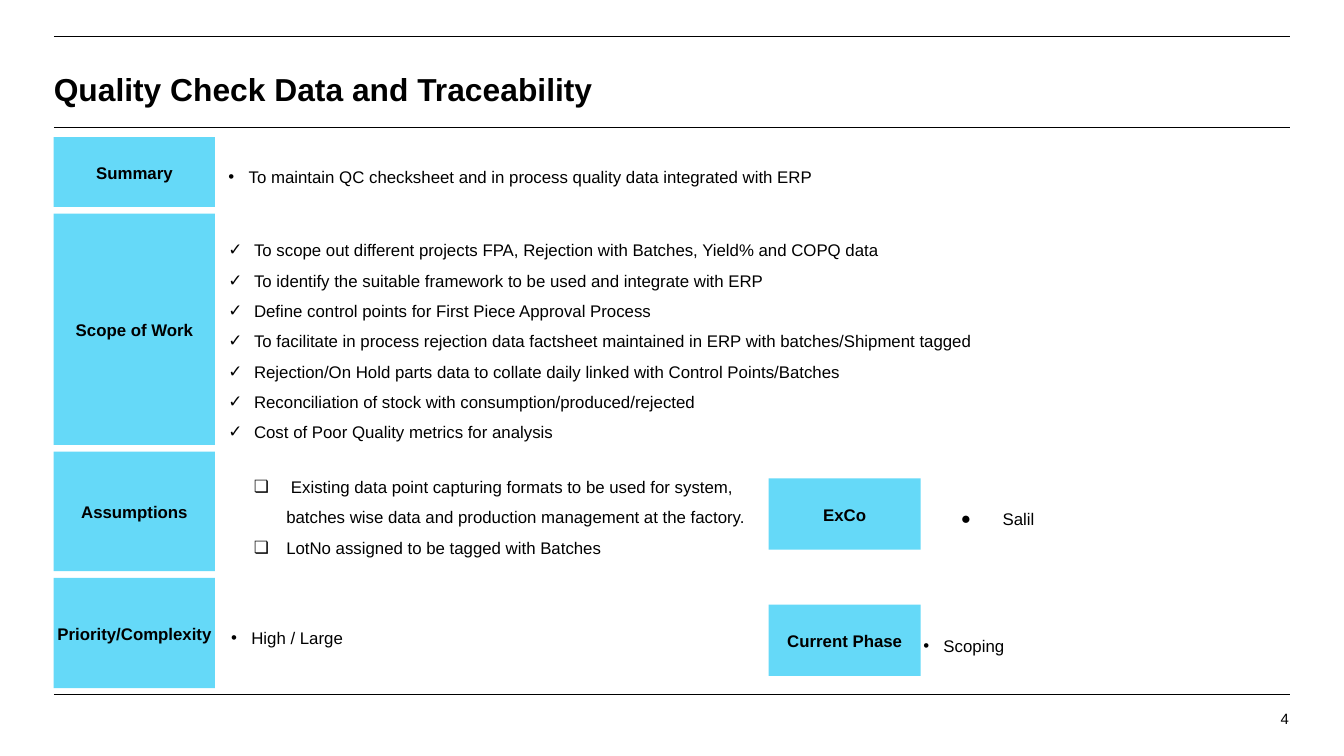
from lxml.etree import SubElement
from pptx import Presentation
from pptx.dml.color import RGBColor
from pptx.enum.shapes import MSO_CONNECTOR, MSO_SHAPE
from pptx.enum.text import MSO_ANCHOR, PP_ALIGN
from pptx.oxml.ns import qn
from pptx.util import Inches, Pt

BLACK = RGBColor(0x00, 0x00, 0x00)
CYAN = RGBColor(0x65, 0xD9, 0xF8)
FONT = "Arial"

TITLE = "Quality Check Data and Traceability"
PAGE = "4"
RULES = [0.27, 0.95, 5.17]
LEFT, RIGHT = 0.4, 9.6
TOP, GAP, LABEL_W = 1.02, 0.05, 1.2
SIDE_LEFT, SIDE_W, SIDE_H = 5.72, 1.13, 0.53

SECTIONS = [("Summary", 0.52), ("Scope of Work", 1.72), ("Assumptions", 0.89), ("Priority/Complexity", 0.82)]
SIDE_LABELS = [("ExCo", 3.56), ("Current Phase", 4.5)]

LISTS = [
    ((1.7, 1.02, 7.85, 0.52), "•", 0.15, 0.15, [
        "To maintain QC checksheet and in process quality data integrated with ERP"]),
    ((1.7, 1.64, 7.85, 1.72), "✓", 0.19, 0.19, [
        "To scope out different projects FPA, Rejection with Batches, Yield% and COPQ data",
        "To identify the suitable framework to be used and integrate with ERP",
        "Define control points for First Piece Approval Process",
        "To facilitate in process rejection data factsheet maintained in ERP with batches/Shipment tagged",
        "Rejection/On Hold parts data to collate daily linked with Control Points/Batches",
        "Reconciliation of stock with consumption/produced/rejected",
        "Cost of Poor Quality metrics for analysis"]),
    ((1.75, 3.36, 3.89, 0.9), "❏", 0.38, 0.24, [
        " Existing data point capturing formats to be used for system, "
        "batches wise data and production management at the factory.",
        "LotNo assigned to be tagged with Batches"]),
    ((1.72, 4.3, 3.55, 0.82), "•", 0.15, 0.15, ["High / Large"]),
    ((6.96, 3.56, 2.78, 0.53), "●", 0.5, 0.31, ["Salil"]),
    ((6.87, 4.5, 2.58, 0.53), "•", 0.15, 0.15, ["Scoping"]),
]


def add_rule(s, y):
    line = s.shapes.add_connector(MSO_CONNECTOR.STRAIGHT, Inches(LEFT), Inches(y), Inches(RIGHT), Inches(y))
    line.line.color.rgb = BLACK
    line.line.width = Pt(0.75)
    SubElement(line._element.spPr, qn("a:effectLst"))


def set_text(sp, lines, size=9, bold=False, align=PP_ALIGN.LEFT, spacing=1.03, anchor=MSO_ANCHOR.MIDDLE, inset=0.07):
    tf = sp.text_frame
    tf.word_wrap = True
    tf.vertical_anchor = anchor
    tf.margin_left = tf.margin_right = 0
    tf.margin_top = tf.margin_bottom = Inches(inset)
    tf.text = "\n".join(lines)
    for p in tf.paragraphs:
        p.alignment = align
        p.line_spacing = spacing
        for r in p.runs:
            r.font.name = FONT
            r.font.size = Pt(size)
            r.font.bold = bold
            r.font.color.rgb = BLACK


def add_text(s, box, lines, **style):
    sp = s.shapes.add_textbox(*map(Inches, box))
    set_text(sp, lines, **style)
    return sp


def add_label(s, box, text):
    sp = s.shapes.add_shape(MSO_SHAPE.RECTANGLE, *map(Inches, box))
    sp.shadow.inherit = False
    sp.fill.solid()
    sp.fill.fore_color.rgb = CYAN
    sp.line.fill.background()
    set_text(sp, [text], bold=True, align=PP_ALIGN.CENTER)


def add_list(s, box, bullet, margin, hanging, lines):
    sp = add_text(s, box, lines, spacing=1.5)
    for p in sp.text_frame.paragraphs:
        pPr = p._p.get_or_add_pPr()
        pPr.set("marL", str(Inches(margin)))
        pPr.set("indent", str(-Inches(hanging)))
        color = SubElement(pPr, qn("a:buClr"))
        SubElement(color, qn("a:srgbClr"), val=str(BLACK))
        SubElement(pPr, qn("a:buFont"), typeface=FONT)
        SubElement(pPr, qn("a:buChar"), char=bullet)


def main():
    prs = Presentation()
    prs.slide_width, prs.slide_height = Inches(10), Inches(10 * 9 / 16)
    s = prs.slides.add_slide(prs.slide_layouts[6])
    for y in RULES:
        add_rule(s, y)
    add_text(s, (LEFT, 0.39, 9.19, 0.53), [TITLE], size=17, bold=True, inset=0)
    add_text(s, (8.24, 5.28, 1.35, 0.24), [PAGE], size=8, align=PP_ALIGN.RIGHT,
             spacing=1.0, anchor=MSO_ANCHOR.TOP, inset=0)
    y = TOP
    for text, height in SECTIONS:
        add_label(s, (LEFT, y, LABEL_W, height), text)
        y += height + GAP
    for text, top in SIDE_LABELS:
        add_label(s, (SIDE_LEFT, top, SIDE_W, SIDE_H), text)
    for item in LISTS:
        add_list(s, *item)
    prs.save("out.pptx")


if __name__ == "__main__":
    main()
